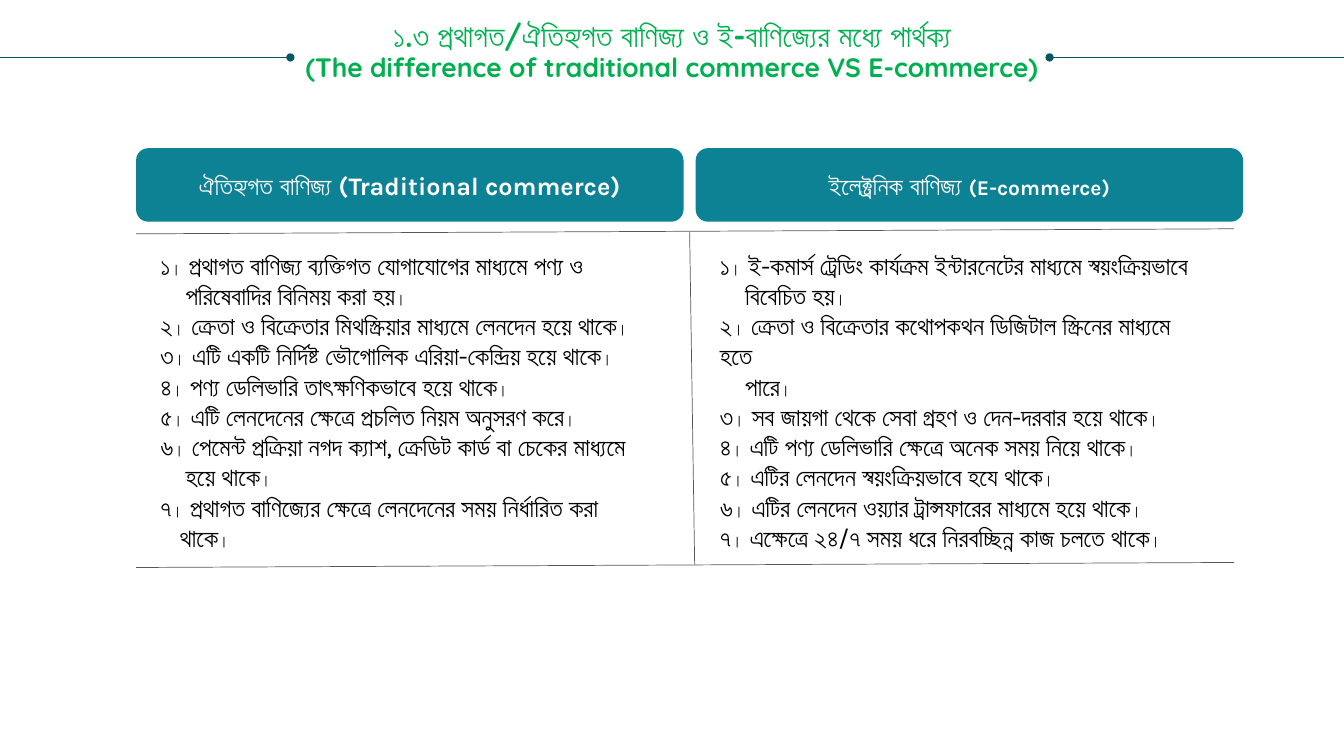
from pptx import Presentation
from pptx.dml.color import RGBColor
from pptx.enum.shapes import MSO_CONNECTOR as Link, MSO_SHAPE as Shape
from pptx.enum.text import MSO_ANCHOR as Anchor, MSO_AUTO_SIZE as Fit, PP_ALIGN as Align
from pptx.oxml.ns import qn
from pptx.util import Inches, Pt
from lxml.etree import SubElement

GREEN = RGBColor(0x00, 0xB0, 0x50)
TEAL = RGBColor(0x0D, 0x82, 0x95)
DEEP = RGBColor(0x08, 0x57, 0x64)
GRAY = RGBColor(0x58, 0x58, 0x58)
BLACK = RGBColor(0x00, 0x00, 0x00)
WHITE = RGBColor(0xFF, 0xFF, 0xFF)

WIDE, HIGH = 13.33, 7.5
STOP = "।"
DIGITS = "১২৩৪৫৬৭"

TITLE = [
    ("১.৩ প্রথাগত/ঐতিহ্যগত বাণিজ্য ও ই-বাণিজ্যের মধ্যে পার্থক্য", 22),
    ("(The difference of traditional commerce VS E-commerce)", 19),
]
OLD_HEAD = [("ঐতিহ্যগত বাণিজ্য (Traditional commerce)", 18)]
NEW_HEAD = [("ইলেক্ট্রনিক বাণিজ্য ", 18), ("(E-commerce)", 15)]

OLD_ITEMS = [
    ["প্রথাগত বাণিজ্য ব্যক্তিগত যোগাযোগের মাধ্যমে পণ্য ও", (0.25, "পরিষেবাদির বিনিময় করা হয়।")],
    ["ক্রেতা ও বিক্রেতার মিথস্ক্রিয়ার মাধ্যমে লেনদেন হয়ে থাকে।"],
    ["এটি একটি নির্দিষ্ট ভৌগোলিক এরিয়া-কেন্দ্রিয় হয়ে থাকে।"],
    ["পণ্য ডেলিভারি তাৎক্ষণিকভাবে হয়ে থাকে।"],
    ["এটি লেনদেনের ক্ষেত্রে প্রচলিত নিয়ম অনুসরণ করে।"],
    ["পেমেন্ট প্রক্রিয়া নগদ ক্যাশ, ক্রেডিট কার্ড বা চেকের মাধ্যমে", (0.25, "হয়ে থাকে।")],
    ["প্রথাগত বাণিজ্যের ক্ষেত্রে লেনদেনের সময় নির্ধারিত করা", (0.19, "থাকে।")],
]
NEW_ITEMS = [
    ["ই-কমার্স ট্রেডিং কার্যক্রম ইন্টারনেটের মাধ্যমে স্বয়ংক্রিয়ভাবে", (0.25, "বিবেচিত হয়।")],
    ["ক্রেতা ও বিক্রেতার কথোপকথন ডিজিটাল স্ক্রিনের মাধ্যমে হতে", (0.25, "পারে।")],
    ["সব জায়গা থেকে সেবা গ্রহণ ও দেন-দরবার হয়ে থাকে।"],
    ["এটি পণ্য ডেলিভারি ক্ষেত্রে অনেক সময় নিয়ে থাকে।"],
    ["এটির লেনদেন স্বয়ংক্রিয়ভাবে হযে থাকে।"],
    ["এটির লেনদেন ওয়্যার ট্রান্সফারের মাধ্যমে হয়ে থাকে।"],
    ["এক্ষেত্রে ২৪/৭ সময় ধরে নিরবচ্ছিন্ন কাজ চলতে থাকে।"],
]


def add_run(para, text, size, face, color, bold=False):
    run = para.add_run()
    run.text = text
    run.font.size = Pt(size)
    run.font.name = face
    run.font.bold = bold
    run.font.color.rgb = color


def add_line(slide, start, end, color, dot=False):
    line = slide.shapes.add_connector(Link.STRAIGHT, *map(Inches, start + end))
    line.line.color.rgb = color
    line.line.width = Pt(0.5)
    prop = line._element.spPr
    if dot:
        SubElement(prop.find(qn("a:ln")), qn("a:tailEnd"), type="oval")
    SubElement(prop, qn("a:effectLst"))


def add_frame(slide, box):
    frame = slide.shapes.add_textbox(*map(Inches, box)).text_frame
    frame.word_wrap = True
    frame.auto_size = Fit.SHAPE_TO_FIT_TEXT
    frame.margin_left = frame.margin_right = 0
    frame.margin_top = frame.margin_bottom = 0
    return frame


def next_para(frame):
    first = frame.paragraphs[0]
    return frame.add_paragraph() if first.runs else first


def add_title(slide, box):
    left, top, width, height = box
    frame = add_frame(slide, box)
    for text, size in TITLE:
        para = next_para(frame)
        para.alignment = Align.CENTER
        para.line_spacing = 0.9
        add_run(para, text, size, "Quicksand", GREEN, True)
    y = top + 0.36
    add_line(slide, (0, y), (left + 2.63, y), DEEP, True)
    add_line(slide, (WIDE, y), (left + width - 2.67, y), DEEP, True)


def add_head(slide, box, parts):
    head = slide.shapes.add_shape(Shape.ROUNDED_RECTANGLE, *map(Inches, box))
    head.shadow.inherit = False
    head.fill.solid()
    head.fill.fore_color.rgb = TEAL
    head.line.fill.background()
    frame = head.text_frame
    frame.word_wrap = True
    frame.vertical_anchor = Anchor.MIDDLE
    para = frame.paragraphs[0]
    para.alignment = Align.CENTER
    for text, size in parts:
        add_run(para, text, size, "Karla", WHITE, True)


def add_text(frame, text, indent=0):
    para = next_para(frame)
    if indent:
        prop = para._p.get_or_add_pPr()
        prop.set("marL", str(Inches(indent)))
        prop.set("indent", "0")
    while text:
        body, stop, text = text.partition(STOP)
        add_run(para, body, 18, "Karla", BLACK)
        if stop:
            add_run(para, stop, 13, "Karla", BLACK)


def add_list(slide, box, items):
    frame = add_frame(slide, box)
    for digit, (first, *rest) in zip(DIGITS, items):
        add_text(frame, f"{digit}{STOP} {first}")
        for indent, text in rest:
            add_text(frame, text, indent)


def add_board(slide, box):
    left, top, width, height = box
    gap = 0.12
    half = (width - gap) / 2
    sides = [(OLD_HEAD, OLD_ITEMS, 0.24, 3.03), (NEW_HEAD, NEW_ITEMS, 0.24, 2.73)]
    for col, (head, items, pad, tall) in enumerate(sides):
        x = left + col * (half + gap)
        add_head(slide, (x, top, half, 0.73), head)
        add_list(slide, (x + pad, top + 1.01, 4.75, tall), items)
    right = left + width - 0.09
    for y in (top + 0.85, top + height):
        add_line(slide, (left, y), (right, y - 0.05), GRAY)
    mid = left + width / 2
    add_line(slide, (mid, top + 0.83), (mid + 0.05, top + height - 0.03), GRAY)


def main():
    deck = Presentation()
    deck.slide_width, deck.slide_height = Inches(WIDE), Inches(HIGH)
    slide = deck.slides.add_slide(deck.slide_layouts[6])
    add_title(slide, (0.25, 0.21, 12.83, 0.62))
    add_board(slide, (1.35, 1.47, 10.98, 4.16))
    deck.save("out.pptx")


if __name__ == "__main__":
    main()
